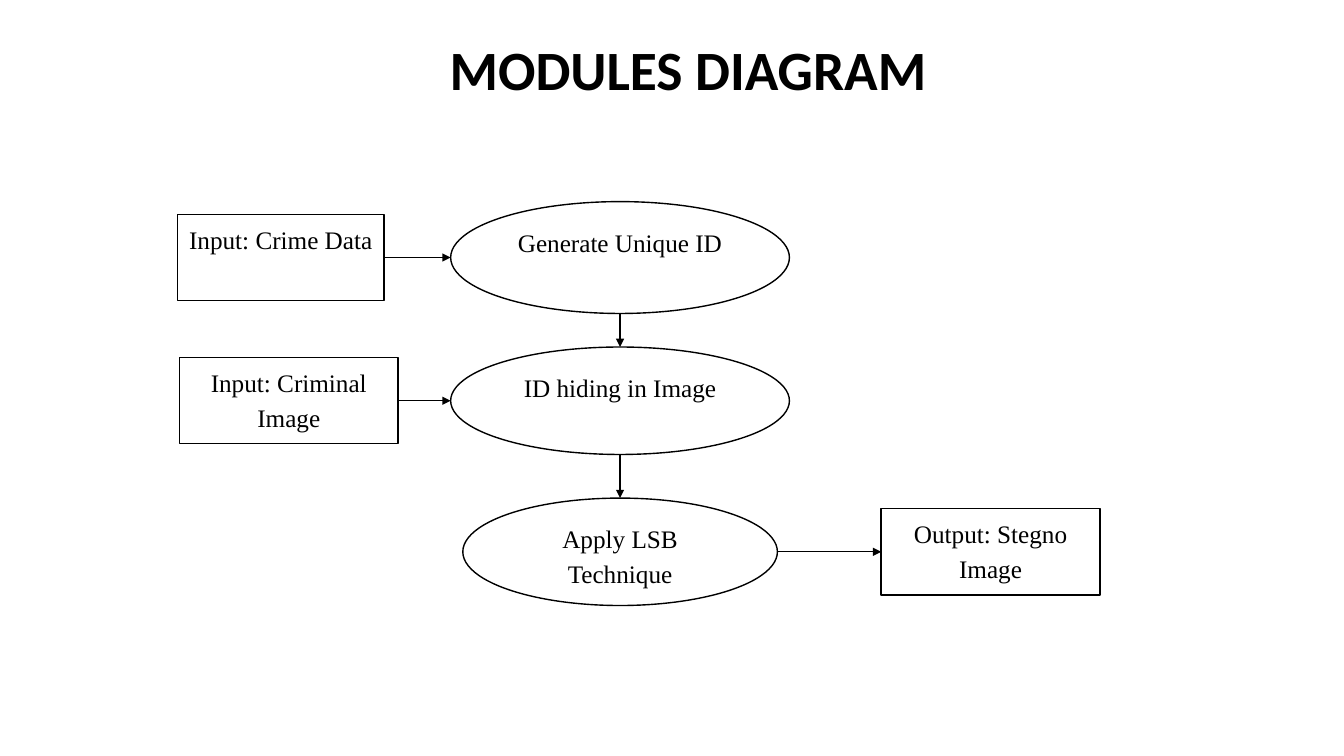
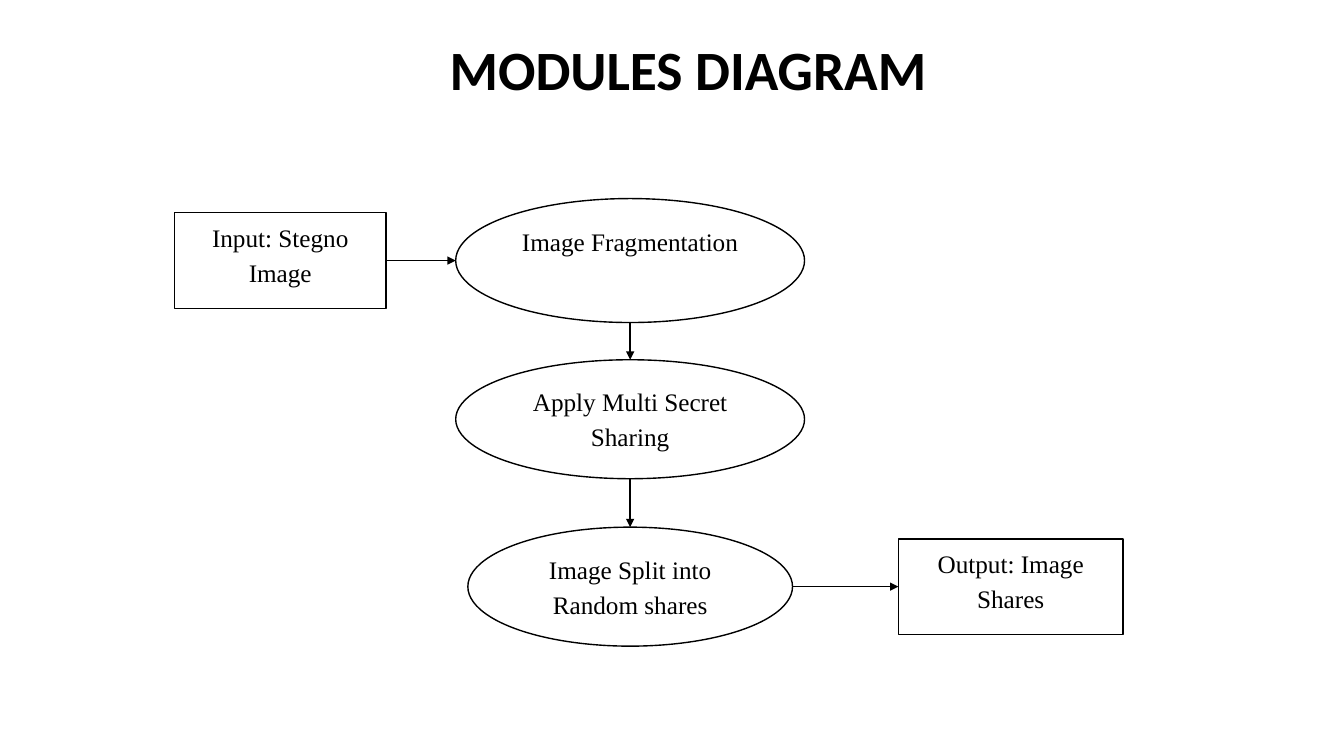
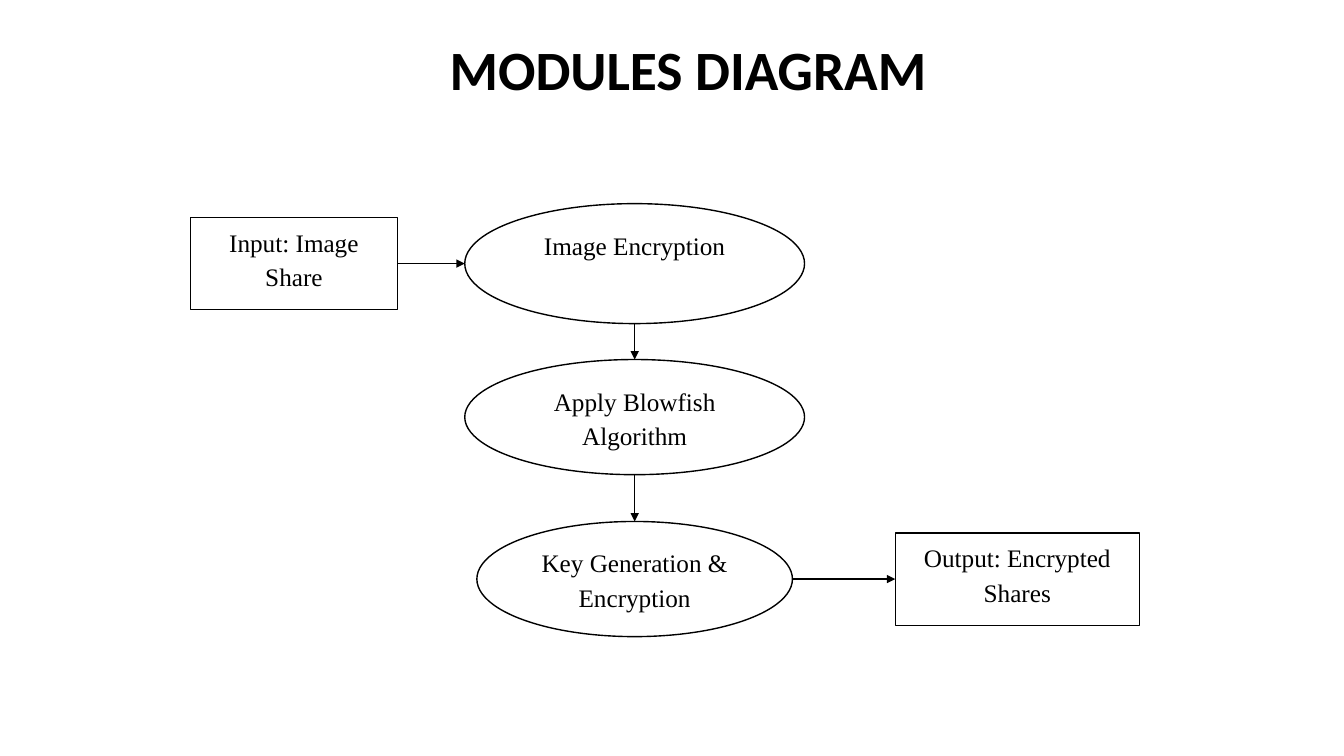
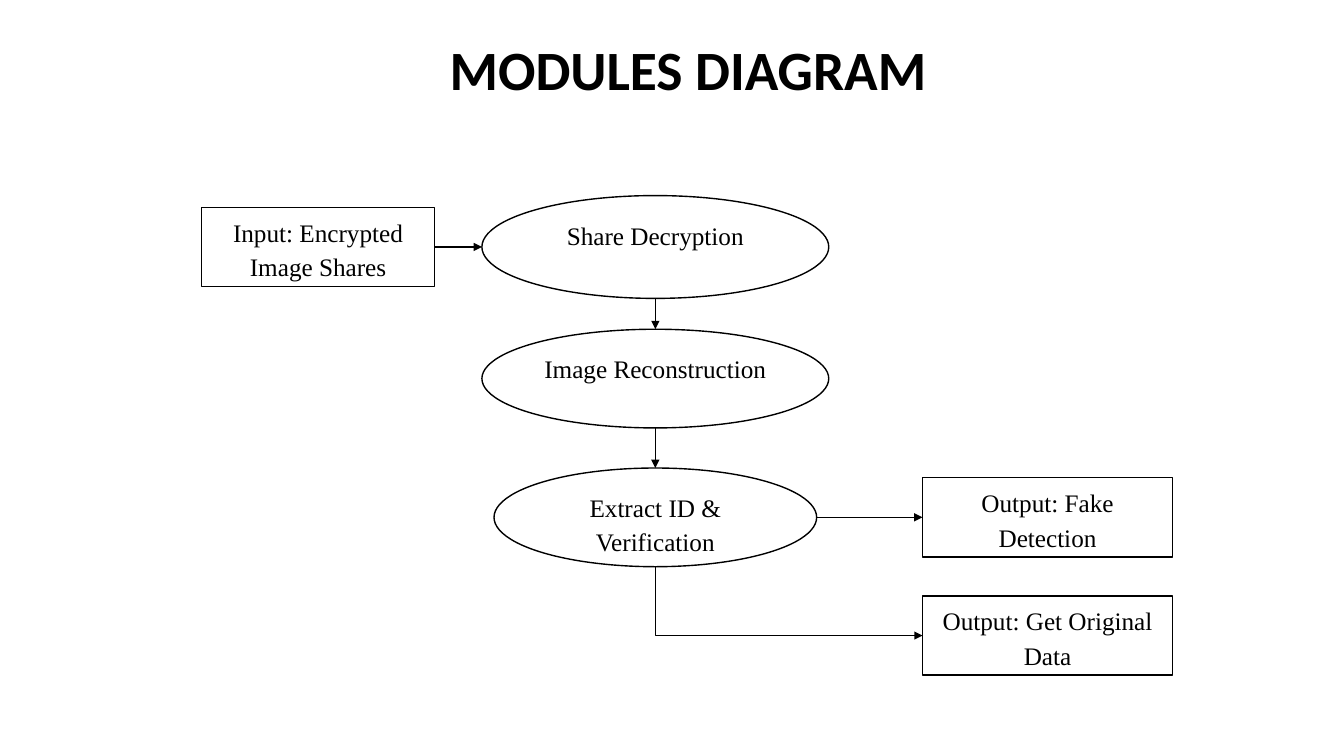
import dataclasses

import pptx
import pptx.dml.color
import pptx.enum.shapes
import pptx.enum.text
import pptx.oxml.ns
import pptx.oxml.xmlchemy
import pptx.util
from lxml import etree

Inches = pptx.util.Inches
Pt = pptx.util.Pt
RGB = pptx.dml.color.RGBColor
Shape = pptx.enum.shapes.MSO_SHAPE
Connector = pptx.enum.shapes.MSO_CONNECTOR
Align = pptx.enum.text.PP_ALIGN
Anchor = pptx.enum.text.MSO_ANCHOR
qn = pptx.oxml.ns.qn


@dataclasses.dataclass(frozen=True)
class Theme:
    ink: RGB = RGB(0, 0, 0)
    paper: RGB = RGB(255, 255, 255)
    title_font: str = "Calibri"
    body_font: str = "Times New Roman"
    title_size: float = 39.6
    body_size: float = 18
    line_width: float = 1
    line_spacing: float = 1.15
    space_after: float = 10


@dataclasses.dataclass(frozen=True)
class Box:
    left: float
    top: float
    width: float
    height: float

    @property
    def right(self):
        return self.left + self.width

    @property
    def bottom(self):
        return self.top + self.height

    @property
    def center(self):
        return self.left + self.width / 2

    @property
    def middle(self):
        return self.top + self.height / 2

    def lengths(self):
        return [Inches(v) for v in (self.left, self.top, self.width, self.height)]


THEME = Theme()
TITLE_BOX = Box(1.95, 0.28, 9.75, 0.79)
STEP_OFFSETS = (0, 1.3, 2.65)
STEP_HEIGHTS = (1, 0.96, 0.96)
STEP_INSETS = (0, 0, 0.12)
SIDE_HEIGHT = 0.77
OUTPUT_PITCH = 1.15


def write(tf, text, font=THEME.body_font, size=THEME.body_size, bold=False,
          anchor=Anchor.TOP, spacing=None, after=None):
    tf.word_wrap = True
    tf.vertical_anchor = anchor
    p = tf.paragraphs[0]
    p.alignment = Align.CENTER
    if spacing:
        p.line_spacing = spacing
    if after:
        p.space_after = Pt(after)
    r = p.add_run()
    r.text = text
    r.font.name = font
    r.font.size = Pt(size)
    r.font.bold = bold
    r.font.color.rgb = THEME.ink


def add_node(s, kind, box, text):
    sp = s.shapes.add_shape(kind, *box.lengths())
    sp.shadow.inherit = False
    sp.fill.solid()
    sp.fill.fore_color.rgb = THEME.paper
    sp.line.color.rgb = THEME.ink
    sp.line.width = Pt(THEME.line_width)
    write(sp.text_frame, text, spacing=THEME.line_spacing, after=THEME.space_after)


def add_arrow(s, x1, y1, x2, y2):
    cxn = s.shapes.add_connector(Connector.STRAIGHT, *map(Inches, (x1, y1, x2, y2)))
    cxn.line.color.rgb = THEME.ink
    cxn.line.width = Pt(THEME.line_width)
    sp_pr = cxn.element.spPr
    etree.SubElement(sp_pr.find(qn("a:ln")), qn("a:tailEnd"), type="triangle")
    etree.SubElement(sp_pr, qn("a:effectLst"))
    return cxn


def add_down_right_arrow(s, x1, y1, x2, y2):
    across, down = x2 - x1, y2 - y1
    left = (x1 + x2 - down) / 2
    top = (y1 + y2 - across) / 2
    cxn = add_arrow(s, left, top, left + down, top + across)
    sp_pr = cxn.element.spPr
    sp_pr.find(qn("a:prstGeom")).set("prst", "bentConnector2")
    xfrm = sp_pr.find(qn("a:xfrm"))
    xfrm.set("rot", str(270 * 60000))
    xfrm.set("flipH", "1")


def add_title(s, box, text):
    title = s.shapes.title
    title.left, title.top, title.width, title.height = box.lengths()
    write(title.text_frame, text, font=THEME.title_font, size=THEME.title_size,
          bold=True, anchor=Anchor.MIDDLE)


def add_steps(s, box, texts):
    steps = []
    for text, offset, height, inset in zip(texts, STEP_OFFSETS, STEP_HEIGHTS, STEP_INSETS):
        step = Box(box.left + inset, box.top + offset * box.height,
                   box.width - 2 * inset, height * box.height)
        add_node(s, Shape.OVAL, step, text)
        if steps:
            add_arrow(s, step.center, steps[-1].bottom, step.center, step.top)
        steps.append(step)
    return steps


def add_inputs(s, steps, height, inputs):
    for step, (left, width, text) in zip(steps, inputs):
        box = Box(left, step.middle - height / 2, width, height)
        add_node(s, Shape.RECTANGLE, box, text)
        add_arrow(s, box.right, step.middle, step.left, step.middle)


def add_outputs(s, step, height, pitch, left, width, texts):
    for i, text in enumerate(texts):
        box = Box(left, step.middle - height / 2 + i * pitch, width, height)
        add_node(s, Shape.RECTANGLE, box, text)
        if i == 0:
            add_arrow(s, step.right, step.middle, box.left, box.middle)
        else:
            add_down_right_arrow(s, step.center, step.bottom, box.left, box.middle)


def add_module_slide(prs, first_step, steps, inputs, outputs):
    s = prs.slides.add_slide(prs.slide_layouts[5])
    add_title(s, TITLE_BOX, "MODULES DIAGRAM")
    unit = first_step.height
    step_boxes = add_steps(s, first_step, steps)
    add_inputs(s, step_boxes, SIDE_HEIGHT * unit, inputs)
    add_outputs(s, step_boxes[-1], SIDE_HEIGHT * unit, OUTPUT_PITCH * unit, *outputs)


MODULES = [
    dict(first_step=Box(4.47, 2, 3.36, 1.11),
         steps=["Generate Unique ID", "ID hiding in Image", "Apply LSB Technique"],
         inputs=[(1.76, 2.05, "Input: Crime Data"), (1.78, 2.17, "Input: Criminal Image")],
         outputs=(8.74, 2.17, ["Output: Stegno Image"])),
    dict(first_step=Box(4.52, 1.97, 3.46, 1.23),
         steps=["Image Fragmentation", "Apply Multi Secret Sharing",
                "Image Split into Random shares"],
         inputs=[(1.73, 2.1, "Input: Stegno Image")],
         outputs=(8.91, 2.23, ["Output: Image Shares"])),
    dict(first_step=Box(4.61, 2.02, 3.37, 1.19),
         steps=["Image Encryption", "Apply Blowfish Algorithm",
                "Key Generation & Encryption"],
         inputs=[(1.89, 2.05, "Input: Image Share")],
         outputs=(8.88, 2.42, ["Output: Encrypted Shares"])),
    dict(first_step=Box(4.78, 1.94, 3.44, 1.02),
         steps=["Share Decryption", "Image Reconstruction", "Extract ID & Verification"],
         inputs=[(2, 2.31, "Input: Encrypted Image Shares")],
         outputs=(9.15, 2.48, ["Output: Fake Detection", "Output: Get Original Data"])),
]

prs = pptx.Presentation()
prs.slide_width = Inches(13.33)
prs.slide_height = Inches(7.5)
for module in MODULES:
    add_module_slide(prs, **module)
prs.save("out.pptx")
